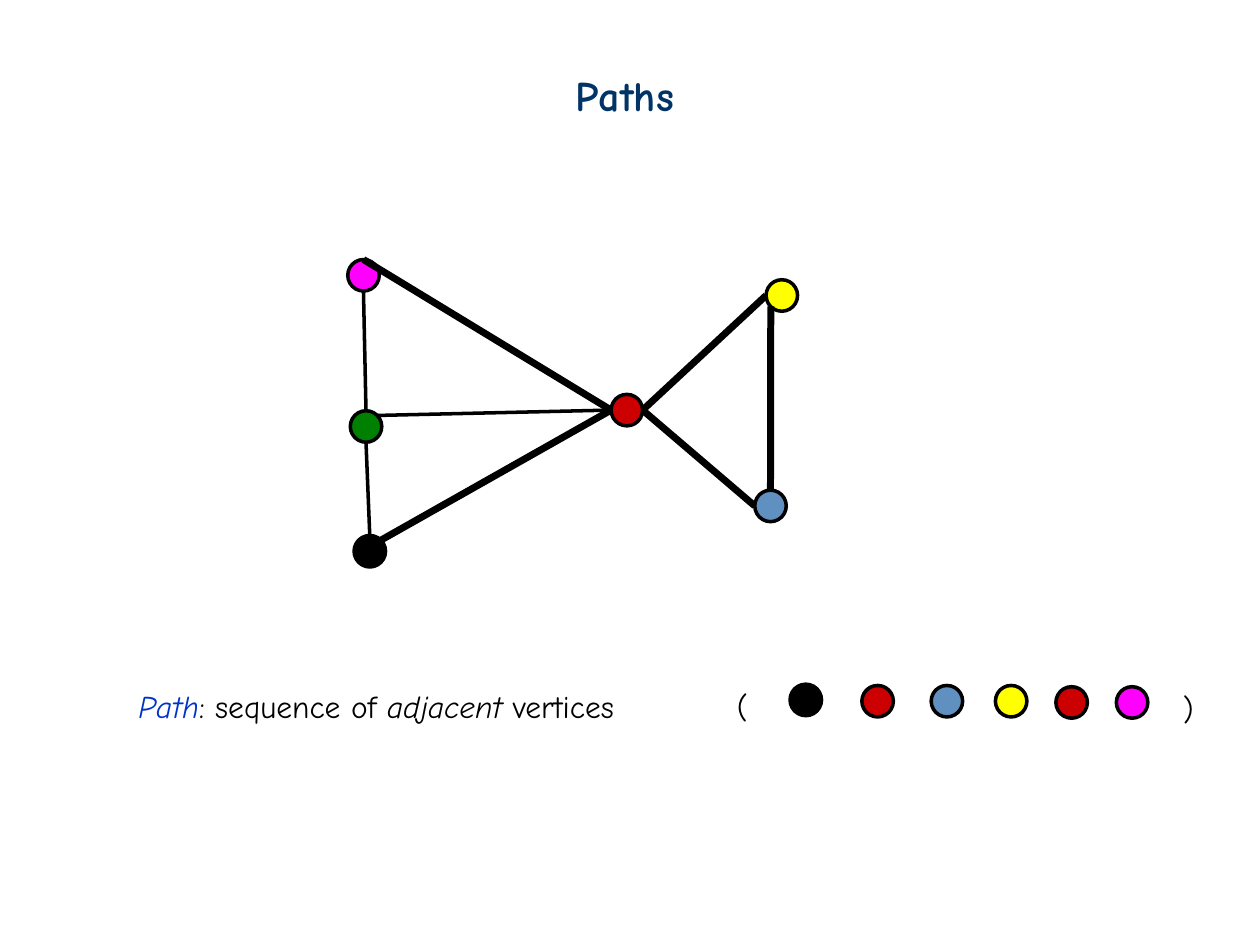
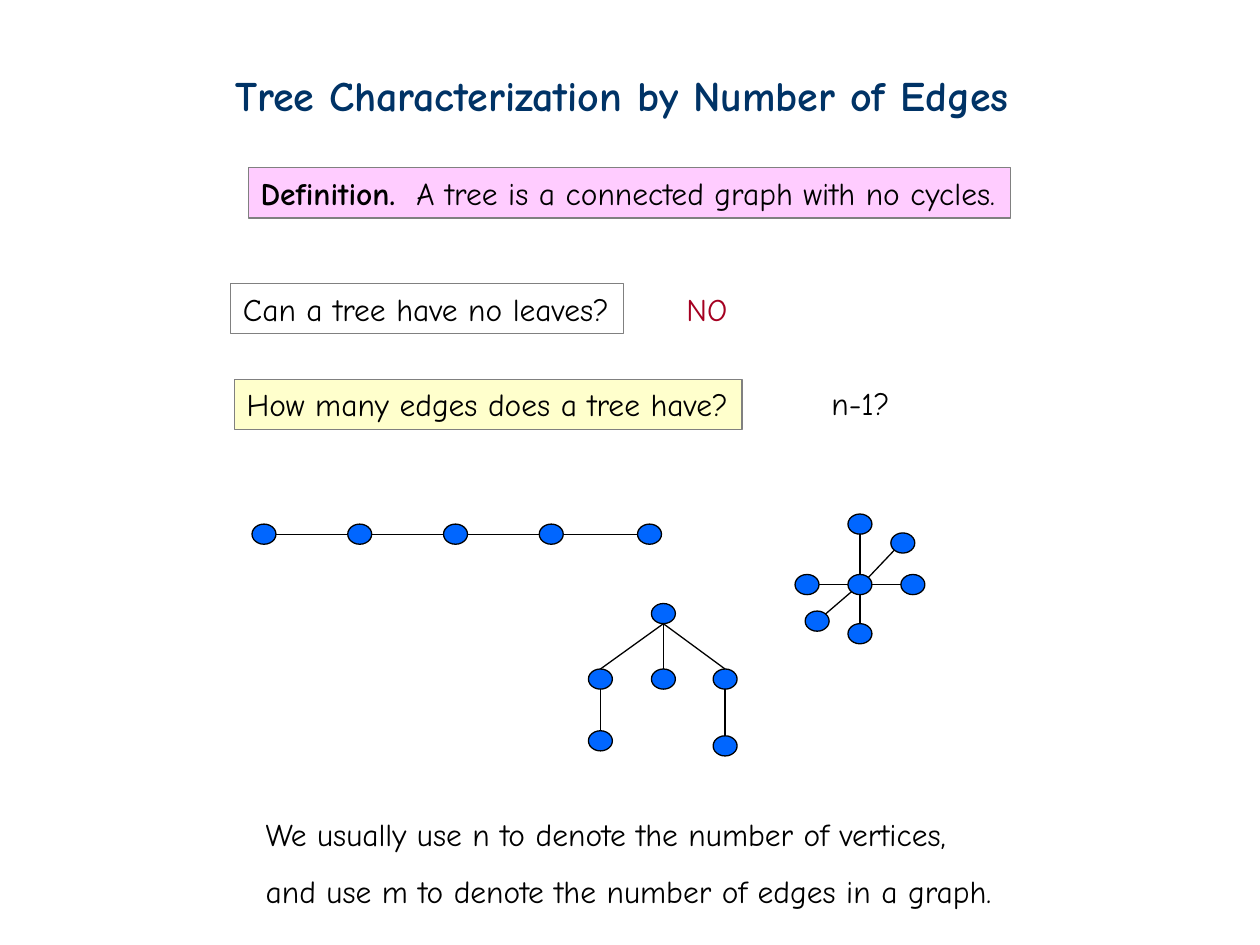
"""Builds two graph theory slides: paths, and trees counted by their edges."""
from dataclasses import dataclass
from itertools import pairwise

from lxml.etree import SubElement
from pptx import Presentation
from pptx.dml.color import RGBColor
from pptx.enum.shapes import MSO_CONNECTOR, MSO_SHAPE
from pptx.enum.text import MSO_AUTO_SIZE
from pptx.oxml.ns import qn
from pptx.util import Emu, Pt

PX = 9144


@dataclass(frozen=True)
class Theme:
    font: str = "Comic Neue"
    title_size: int = 24
    body_size: int = 18
    title: str = "003366"
    ink: str = "000000"
    term: str = "0033CC"
    answer: str = "A50021"
    frame: str = "808080"
    definition: str = "FFCCFF"
    question: str = "FFFFCC"
    vertex: str = "0066FF"
    yellow: str = "FFFF00"
    blue: str = "6090BF"
    green: str = "008000"
    magenta: str = "FF00FF"
    red: str = "CC0000"
    hairline: float = 0.75
    thin: int = 2
    thick: int = 4


SIDES = {
    "top": (0.5, 0), "left": (0, 0.5), "bottom": (0.5, 1), "right": (1, 0.5),
    "top_right": (0.85, 0.15), "bottom_left": (0.15, 0.85),
}


class Sketch:
    """Holds the theme and the page being drawn."""

    def __init__(self, deck, theme):
        self.deck = deck
        self.theme = theme
        self.page = None

    def new_page(self, title, left, width):
        self.page = self.deck.slides.add_slide(self.deck.slide_layouts[6])
        box = self.text(title, left, 50, width, 50, color=self.theme.title,
                        size=self.theme.title_size)
        box.text_frame.paragraphs[0].runs[0].font.bold = True

    def text(self, content, left, top, width, height=40, color=None, size=None,
             wrap=False):
        box = self.page.shapes.add_textbox(*[Emu(n * PX) for n in (left, top, width, height)])
        frame = box.text_frame
        frame.text = content
        frame.word_wrap = wrap
        frame.auto_size = MSO_AUTO_SIZE.NONE if wrap else MSO_AUTO_SIZE.SHAPE_TO_FIT_TEXT
        for para in frame.paragraphs:
            for span in para.runs:
                self.style(span, color, size)
        return box

    def style(self, span, color=None, size=None):
        span.font.name = self.theme.font
        span.font.size = Pt(size or self.theme.body_size)
        span.font.color.rgb = RGBColor.from_string(color or self.theme.ink)

    def add_span(self, box, content, color=None):
        span = box.text_frame.paragraphs[0].add_run()
        span.text = content
        self.style(span, color)
        return span

    def framed(self, content, left, top, width, fill=None):
        box = self.text(content, left, top, width)
        if fill:
            box.fill.solid()
            box.fill.fore_color.rgb = RGBColor.from_string(fill)
        box.line.color.rgb = RGBColor.from_string(self.theme.frame)
        box.line.width = Pt(self.theme.hairline)
        return box

    def vertex(self, left, top, color=None, width=19, height=16, outline=None):
        shape = self.page.shapes.add_shape(
            MSO_SHAPE.OVAL, *[Emu(n * PX) for n in (left, top, width, height)])
        shape.shadow.inherit = False
        shape.fill.solid()
        shape.fill.fore_color.rgb = RGBColor.from_string(color or self.theme.vertex)
        shape.line.color.rgb = RGBColor.from_string(self.theme.ink)
        shape.line.width = Pt(outline or self.theme.hairline)
        return shape

    def disc(self, left, top, color):
        return self.vertex(left, top, color, 25, 25, self.theme.thin)

    def edge(self, start, start_side, end, end_side, weight=None):
        ends = []
        for shape, side in ((start, start_side), (end, end_side)):
            across, down = SIDES[side]
            ends += [Emu(int(shape.left + across * shape.width)),
                     Emu(int(shape.top + down * shape.height))]
        line = self.page.shapes.add_connector(MSO_CONNECTOR.STRAIGHT, *ends)
        line.line.color.rgb = RGBColor.from_string(self.theme.ink)
        line.line.width = Pt(weight or self.theme.hairline)
        SubElement(line._element.spPr, qn("a:effectLst"))


def draw_paths(sketch):
    theme = sketch.theme
    sketch.new_page("Paths", 447, 98)

    definition = sketch.text("Path", 100, 540, 442, 52, theme.term, wrap=True)
    definition.text_frame.paragraphs[0].runs[0].font.italic = True
    sketch.add_span(definition, ": sequence of ")
    sketch.add_span(definition, "adjacent").font.italic = True
    sketch.add_span(definition, " vertices")

    yellow = sketch.disc(608, 222, theme.yellow)
    blue = sketch.disc(599, 389, theme.blue)
    green = sketch.disc(278, 326, theme.green)
    magenta = sketch.disc(276, 206, theme.magenta)
    black = sketch.disc(281, 425, theme.ink)
    red = sketch.disc(485, 313, theme.red)

    for ends in (
        (green, "bottom", black, "top"),
        (green, "top_right", red, "left"),
        (magenta, "bottom", green, "top"),
    ):
        sketch.edge(*ends, theme.thin)
    for ends in (
        (yellow, "bottom_left", blue, "top"),
        (yellow, "left", red, "right"),
        (red, "right", blue, "left"),
        (red, "left", black, "top_right"),
        (red, "left", magenta, "top"),
    ):
        sketch.edge(*ends, theme.thick)

    sketch.text("(", 575, 540, 28)
    for left, top, color in (
        (627, 543, theme.ink), (684, 544, theme.red), (739, 544, theme.blue),
        (790, 544, theme.yellow), (838, 545, theme.red), (886, 545, theme.magenta),
    ):
        sketch.disc(left, top, color)
    sketch.text(")", 929, 542, 28)


def draw_trees(sketch):
    theme = sketch.theme
    sketch.new_page("Tree Characterization by Number of Edges", 177, 637)

    definition = sketch.framed("Definition.", 197, 133, 605, theme.definition)
    definition.text_frame.paragraphs[0].runs[0].font.bold = True
    sketch.add_span(definition, "  A tree is a connected graph with no cycles.")
    sketch.framed("Can a tree have no leaves?", 183, 225, 312)
    sketch.text("NO", 535, 225, 56, color=theme.answer)
    sketch.framed("How many edges does a tree have?", 186, 301, 403, theme.question)
    sketch.text("n-1?", 650, 300, 66)

    chain = [sketch.vertex(left, 416) for left in (200, 276, 352, 428, 506)]
    for start, end in pairwise(chain):
        sketch.edge(start, "right", end, "left")

    hub = sketch.vertex(673, 456)
    for left, top, hub_side, leaf_side in (
        (631, 456, "left", "right"),
        (715, 456, "right", "left"),
        (673, 408, "top", "bottom"),
        (673, 495, "bottom", "top"),
        (707, 423, "top_right", "bottom_left"),
        (639, 485, "bottom_left", "top_right"),
    ):
        sketch.edge(hub, hub_side, sketch.vertex(left, top), leaf_side)

    root = sketch.vertex(517, 479)
    for left, leaf_top in ((467, 580), (517, None), (566, 584)):
        child = sketch.vertex(left, 531)
        sketch.edge(root, "bottom", child, "top")
        if leaf_top:
            sketch.edge(child, "bottom", sketch.vertex(left, leaf_top), "top")

    note = sketch.text("We usually use n to denote the number of vertices,\n"
                       "and use m to denote the number of edges in a graph.",
                       201, 642, 598, 85)
    note.text_frame.paragraphs[1].line_spacing = 1.5


def main():
    deck = Presentation()
    deck.slide_width = Emu(1000 * PX)
    deck.slide_height = Emu(750 * PX)
    sketch = Sketch(deck, Theme())
    draw_paths(sketch)
    draw_trees(sketch)
    deck.save("out.pptx")


if __name__ == "__main__":
    main()
